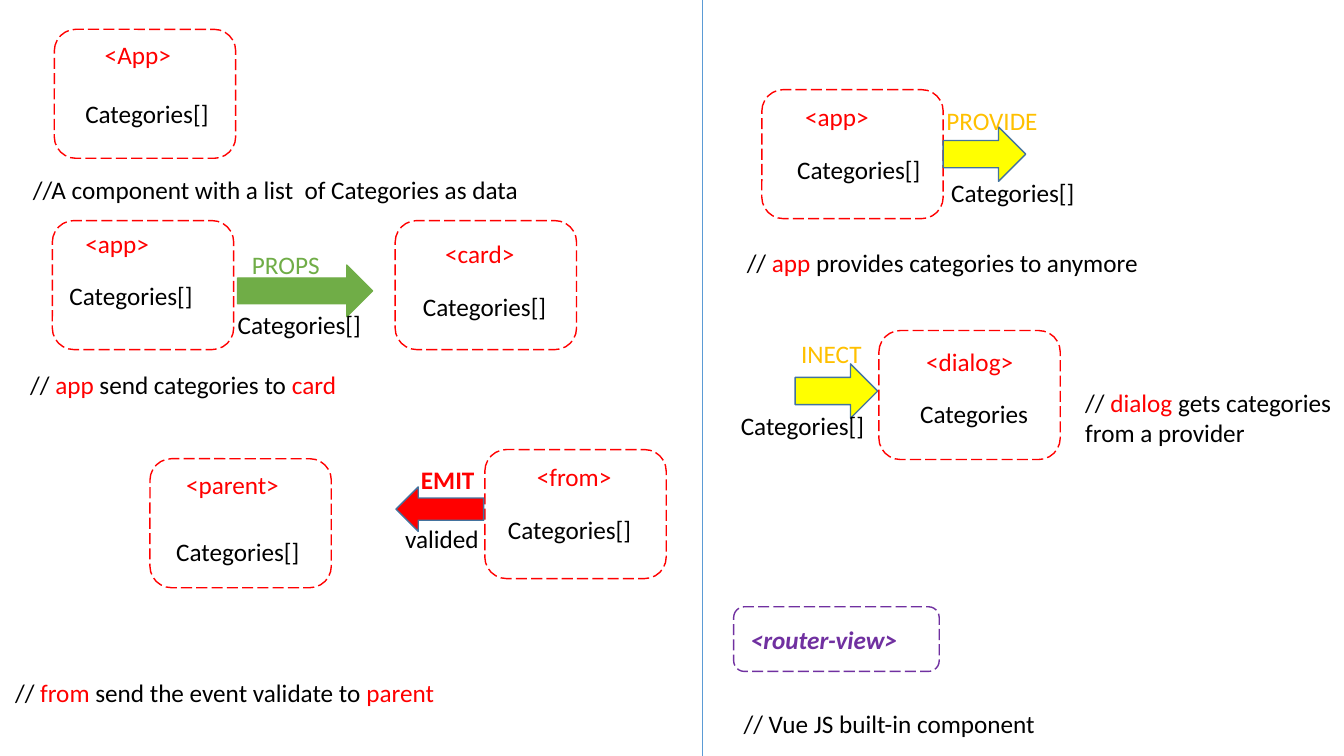
from dataclasses import dataclass

from lxml import etree
from pptx import Presentation
from pptx.dml.color import RGBColor
from pptx.enum.dml import MSO_LINE
from pptx.enum.shapes import MSO_CONNECTOR, MSO_SHAPE
from pptx.enum.text import MSO_AUTO_SIZE
from pptx.oxml.ns import qn
from pptx.util import Cm, Pt

ROUNDED = MSO_SHAPE.ROUNDED_RECTANGLE
RIGHT = MSO_SHAPE.RIGHT_ARROW
LEFT = MSO_SHAPE.LEFT_ARROW
STRAIGHT = MSO_CONNECTOR.STRAIGHT
LONG_DASH = MSO_LINE.LONG_DASH
FIT_TEXT = MSO_AUTO_SIZE.SHAPE_TO_FIT_TEXT


@dataclass(frozen=True)
class Theme:
    """Colours, type and line sizes of the slide."""
    font: str = "Calibri"
    size: int = 18
    line: float = 1
    thin: float = 0.5
    ink: str = "000000"
    red: str = "FF0000"
    green: str = "70AD47"
    yellow: str = "FFFF00"
    amber: str = "FFC000"
    purple: str = "7030A0"
    outline: str = "43739E"
    divider: str = "5B9BD5"


T = Theme()
SLIDE_W, SLIDE_H = 33.87, 19.05
BOX_W, BOX_H = 4.57, 3.25
TEXT_H = 1.02
DIVIDER_X = 17.7

COMPONENTS = [
    ((1.37, 0.74), "<App>", (2.39, 0.86, 2.59), "Categories[]", (1.9, 2.36, 4.09)),
    ((1.32, 5.56), "<app>", (1.9, 5.64, 2.41), "Categories[]", (1.5, 6.93, 3.78)),
    ((9.96, 5.56), "<card>", (10.97, 5.87, 2.46), "Categories[]", (10.41, 7.21, 4.11)),
    ((3.78, 11.56), "<parent>", (4.44, 11.71, 3.35), "Categories[]", (4.19, 13.39, 3.63)),
    ((12.22, 11.33), "<from>", (13.28, 11.51, 2.46), "Categories[]", (12.55, 12.83, 4.01)),
    ((19.2, 2.26), "<app>", (20.04, 2.44, 2.9), "Categories[]", (19.84, 3.76, 3.96)),
    ((22.15, 8.33), "<dialog>", (23.09, 8.61, 2.84), "Categories", (22.94, 9.91, 3.66)),
]

FLOWS = [
    (RIGHT, (5.99, 6.68, 3.4, 1.3), T.green, T.green,
     "PROPS", (6.1, 6.15, 2.49), T.green, False, "Categories[]", (5.74, 7.67, 3.94)),
    (LEFT, (9.98, 12.27, 2.21, 1.12), T.red, T.outline,
     "EMIT", (10.36, 11.58, 2.97), T.red, True, "valided", (9.96, 13.06, 3.94)),
    (RIGHT, (23.77, 3.2, 2.08, 1.37), T.yellow, T.outline,
     "PROVIDE", (23.6, 2.54, 3.02), T.amber, False, "Categories[]", (23.72, 4.34, 3.81)),
    (RIGHT, (20.04, 9.17, 2.08, 1.37), T.yellow, T.outline,
     "INECT", (19.94, 8.41, 2.08), T.amber, False, "Categories[]", (18.42, 10.21, 3.81)),
]

NOTES = [
    ((0.58, 4.27, 13.31), ["//A component with a list  of Categories as data"]),
    ((0.51, 9.19, 8.94), ["// ", "app", " send categories to ", "card"]),
    ((0.13, 16.94, 11.79), ["// ", "from", " send the event validate to ", "parent"]),
    ((18.57, 6.1, 10.82), ["// ", "app", " provides categories to anymore"]),
    ((27.1, 9.63, 6.93, 1.8), ["// ", "dialog", " gets categories from a provider"]),
    ((18.49, 17.73, 8.61), ["// Vue JS built-in component"]),
]


def rgb(value):
    """Turn a hex string into a colour."""
    return RGBColor.from_string(value)


def add_text(s, x, y, w, h=TEXT_H, runs=(), bold=False, italic=False):
    """Add a left-aligned text box from (text, colour) runs."""
    box = s.shapes.add_textbox(Cm(x), Cm(y), Cm(w), Cm(h))
    tf = box.text_frame
    tf.word_wrap = True
    tf.auto_size = FIT_TEXT
    p = tf.paragraphs[0]
    for text, colour in runs:
        r = p.add_run()
        r.text = text
        r.font.name = T.font
        r.font.size = Pt(T.size)
        r.font.bold = bold
        r.font.italic = italic
        r.font.color.rgb = rgb(colour)


def add_preset(s, kind, bounds, line):
    """Add an unfilled preset shape with a coloured outline."""
    sp = s.shapes.add_shape(kind, *map(Cm, bounds))
    sp.shadow.inherit = False
    sp.fill.background()
    sp.line.color.rgb = rgb(line)
    sp.line.width = Pt(T.line)
    return sp


def add_dashed_box(s, bounds, colour):
    """Add a rounded box with a dashed outline."""
    add_preset(s, ROUNDED, bounds, colour).line.dash_style = LONG_DASH


def add_component(s, corner, tag, tag_at, data, data_at):
    """Add a component box with its tag and its data."""
    add_dashed_box(s, (*corner, BOX_W, BOX_H), T.red)
    add_text(s, *tag_at, runs=[(tag, T.red)])
    add_text(s, *data_at, runs=[(data, T.ink)])


def add_flow(s, kind, bounds, fill, line, label, label_at, colour, bold, payload, payload_at):
    """Add a block arrow with its mechanism and what it carries."""
    sp = add_preset(s, kind, bounds, line)
    sp.fill.solid()
    sp.fill.fore_color.rgb = rgb(fill)
    add_text(s, *label_at, runs=[(label, colour)], bold=bold)
    add_text(s, *payload_at, runs=[(payload, T.ink)])


def add_note(s, at, parts):
    """Add a comment whose every second part is a red component name."""
    runs = [(part, T.red if i % 2 else T.ink) for i, part in enumerate(parts)]
    add_text(s, *at, runs=runs)


def add_divider(s):
    """Add the thin vertical line between the two halves."""
    line = s.shapes.add_connector(STRAIGHT, Cm(DIVIDER_X), Cm(0), Cm(DIVIDER_X), Cm(SLIDE_H))
    line.line.color.rgb = rgb(T.divider)
    line.line.width = Pt(T.thin)
    etree.SubElement(line._element.spPr, qn("a:effectLst"))


def main():
    """Build the slide and save it."""
    prs = Presentation()
    prs.slide_width, prs.slide_height = Cm(SLIDE_W), Cm(SLIDE_H)
    s = prs.slides.add_slide(prs.slide_layouts[6])
    add_divider(s)
    for component in COMPONENTS:
        add_component(s, *component)
    for flow in FLOWS:
        add_flow(s, *flow)
    for at, parts in NOTES:
        add_note(s, at, parts)
    add_dashed_box(s, (18.49, 15.29, 5.18, 1.63), T.purple)
    add_text(s, 18.67, 15.6, 4.57, runs=[("<router-view>", T.purple)], bold=True, italic=True)
    prs.save("out.pptx")


main()
